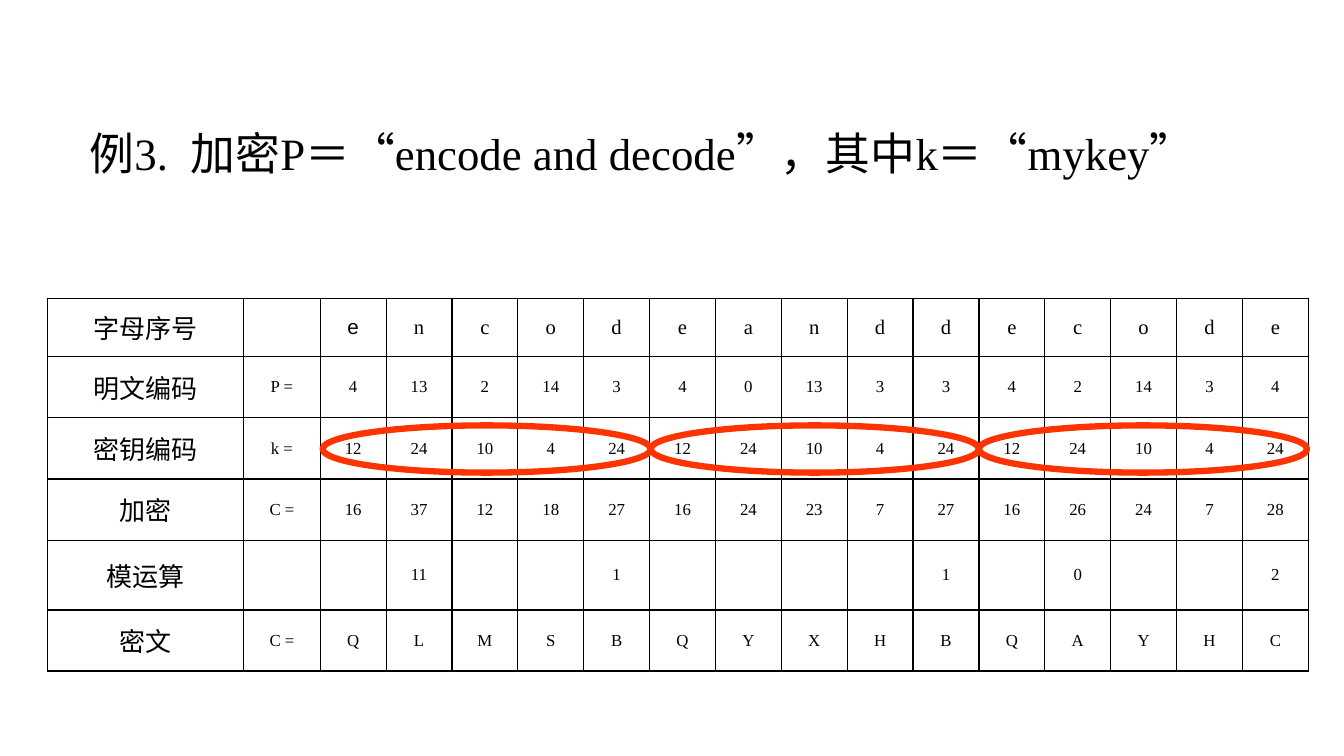
from itertools import cycle

from lxml.etree import SubElement
from pptx import Presentation
from pptx.dml.color import RGBColor
from pptx.enum.shapes import MSO_SHAPE
from pptx.enum.text import MSO_ANCHOR, PP_ALIGN
from pptx.oxml.ns import qn
from pptx.util import Cm, Pt

COLORS = {"ink": "000000", "key_ring": "FF3300"}
SERIF = "Times New Roman"
PLAINTEXT = "encodeanddecode"
KEY = "mykey"
LABEL_WIDTH, SYMBOL_WIDTH, LETTER_WIDTH = 4.95, 1.93, 1.66
ROW_HEIGHTS = [1.47, 1.54, 1.54, 1.54, 1.76, 1.54]


def letter_code(letter):
    return ord(letter) - ord("a")


def cipher_rows():
    plain = [letter_code(letter) for letter in PLAINTEXT]
    key = [letter_code(letter) for letter, _ in zip(cycle(KEY), plain)]
    sums = [p + k for p, k in zip(plain, key)]
    reduced = [total % 26 if total >= 26 else "" for total in sums]
    cipher = [chr(ord("A") + total % 26) for total in sums]
    return [
        ["字母序号", "", *PLAINTEXT],
        ["明文编码", "P =", *plain],
        ["密钥编码", "k =", *key],
        ["加密", "C =", *sums],
        ["模运算", "", *reduced],
        ["密文", "C =", *cipher],
    ]


def format_font(paragraph, size, font_name=SERIF):
    for run in paragraph.runs:
        run.font.size = Pt(size)
        run.font.name = font_name
        run.font.color.rgb = RGBColor.from_string(COLORS["ink"])


def add_statement(slide, text):
    statement = slide.shapes.add_textbox(Cm(2.26), Cm(3.33), Cm(29.74), Cm(2.64))
    frame = statement.text_frame
    frame.word_wrap = True
    frame.margin_left = frame.margin_right = frame.margin_top = frame.margin_bottom = 0
    paragraph = frame.paragraphs[0]
    paragraph.text = text
    paragraph.line_spacing = 0.9
    paragraph.space_before = Pt(9)
    format_font(paragraph, 32)


def outline_cell(cell):
    properties = cell._tc.get_or_add_tcPr()
    for side in ("a:lnL", "a:lnR", "a:lnT", "a:lnB"):
        border = SubElement(properties, qn(side), w=str(Pt(1)))
        fill = SubElement(border, qn("a:solidFill"))
        SubElement(fill, qn("a:srgbClr"), val=COLORS["ink"])


def fill_cell(cell, value, size, font_name):
    outline_cell(cell)
    cell.fill.background()
    cell.vertical_anchor = MSO_ANCHOR.MIDDLE
    cell.margin_left = cell.margin_right = Cm(0.33)
    cell.margin_top = cell.margin_bottom = Cm(0.13)
    paragraph = cell.text_frame.paragraphs[0]
    paragraph.text = str(value)
    paragraph.alignment = PP_ALIGN.CENTER
    indent = Cm(0.97)
    properties = paragraph._p.get_or_add_pPr()
    properties.set("marL", str(indent))
    properties.set("indent", str(-indent))
    format_font(paragraph, size, font_name)


def add_cipher_table(slide, rows):
    widths = [LABEL_WIDTH, SYMBOL_WIDTH] + [LETTER_WIDTH] * len(PLAINTEXT)
    table = slide.shapes.add_table(
        len(rows), len(widths), Cm(1.19), Cm(7.52), Cm(sum(widths)), Cm(sum(ROW_HEIGHTS))
    ).table
    table.first_row = False
    table.horz_banding = False
    for column, width in zip(table.columns, widths):
        column.width = Cm(width)
    for row, height in zip(table.rows, ROW_HEIGHTS):
        row.height = Cm(height)
    for r, values in enumerate(rows):
        for c, value in enumerate(values):
            size = 18.6 if c == 0 else 14.7 if r == 0 else 12
            font_name = "Arial" if (r, c) == (0, 2) else SERIF
            fill_cell(table.cell(r, c), value, size, font_name)


def add_key_ring(slide, position):
    width = 8.27
    ring = slide.shapes.add_shape(
        MSO_SHAPE.OVAL, Cm(8.13 + position * width), Cm(10.72), Cm(width), Cm(1.19)
    )
    ring.shadow.inherit = False
    ring.fill.background()
    ring.line.color.rgb = RGBColor.from_string(COLORS["key_ring"])
    ring.line.width = Pt(4.5)


def main():
    presentation = Presentation()
    presentation.slide_width = Cm(33.87)
    presentation.slide_height = Cm(19.05)
    slide = presentation.slides.add_slide(presentation.slide_layouts[6])
    add_statement(slide, "例3.  加密P＝“encode and decode”，其中k＝“mykey”")
    add_cipher_table(slide, cipher_rows())
    for position in range(len(PLAINTEXT) // len(KEY)):
        add_key_ring(slide, position)
    presentation.save("out.pptx")


main()
